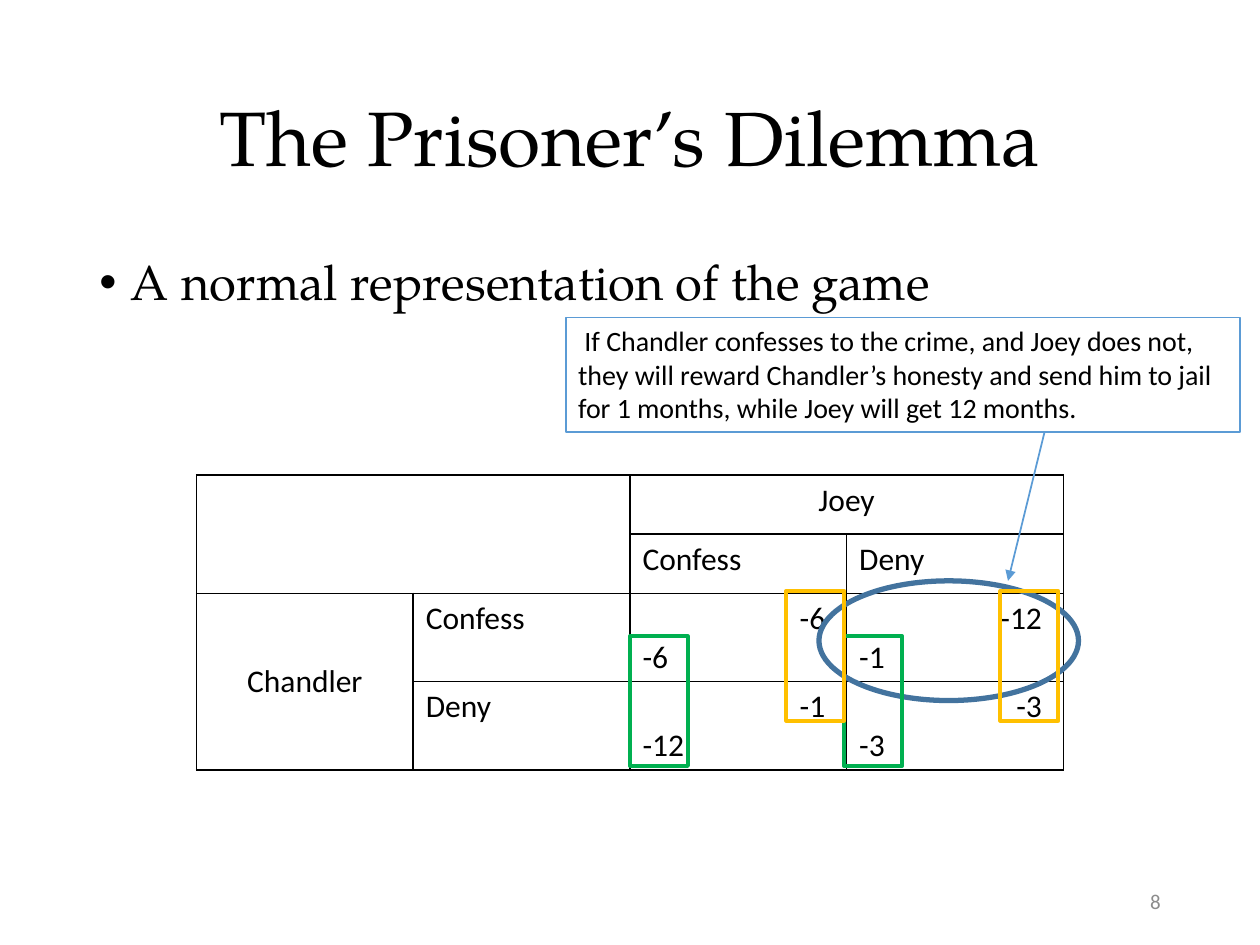
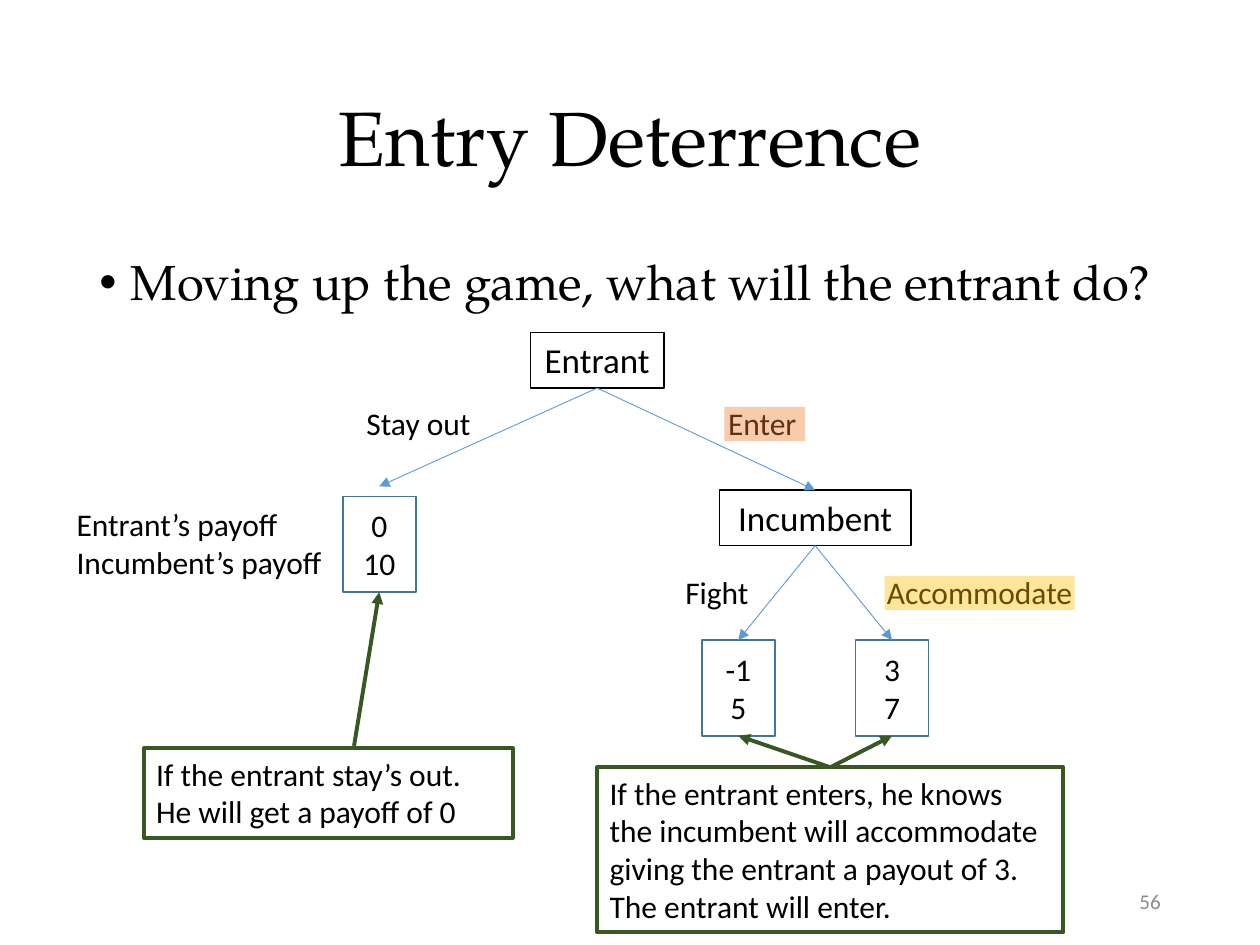
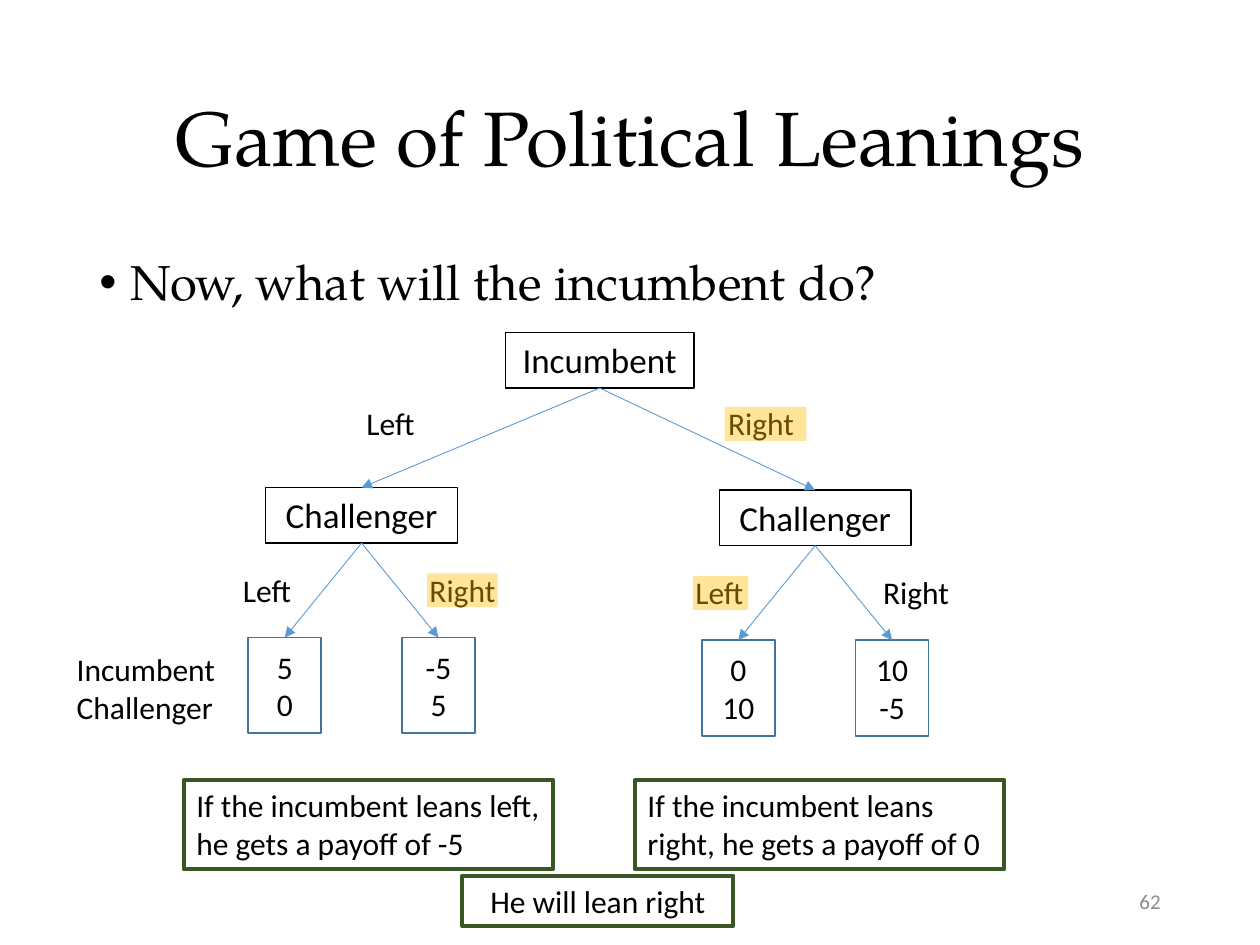
from lxml import etree
from pptx import Presentation
from pptx.dml.color import RGBColor
from pptx.enum.shapes import MSO_CONNECTOR, MSO_SHAPE
from pptx.enum.text import MSO_ANCHOR as Anchor, PP_ALIGN as Align
from pptx.oxml.ns import qn
from pptx.shapes.autoshape import Shape
from pptx.util import Inches, Pt

BLACK = RGBColor(0x00, 0x00, 0x00)
GREY = RGBColor(0x8C, 0x8C, 0x8C)
BLUE = RGBColor(0x5B, 0x9B, 0xD5)
DARK_BLUE = RGBColor(0x43, 0x73, 0x9E)
GREEN = RGBColor(0x00, 0xB0, 0x50)
DARK_GREEN = RGBColor(0x38, 0x57, 0x23)
GOLD = RGBColor(0xFF, 0xC0, 0x00)
ORANGE = RGBColor(0xED, 0x7D, 0x31)
SERIF, SANS = "TeX Gyre Pagella", "Calibri"
RECT, OVAL = MSO_SHAPE.RECTANGLE, MSO_SHAPE.OVAL
LEFT, CENTER, RIGHT = Align.LEFT, Align.CENTER, Align.RIGHT
TOP, BOTTOM = 0, 2

MARGIN, CONTENT_W = 0.69, 8.62
NODE_H, NODE_W = 0.44, 1.52
PAYOFF_W, PAYOFF_H = 0.58, 0.76
ROOT_TOP = 2.64
NOTE_W, NOTE_H = 2.93, 0.71
LABEL_H = 0.4


def add_box(slide, kind, left, top, width, height, lines=(), size=18, align=LEFT,
            anchor=Anchor.TOP, line=None, weight=1, tint=None, color=BLACK, font=SANS):
    """Add a shape, or a text box when kind is None; tint is a 40 % opaque fill."""
    place = [Inches(v) for v in (left, top, width, height)]
    box = slide.shapes.add_shape(kind, *place) if kind else slide.shapes.add_textbox(*place)
    box.shadow.inherit = False
    if tint:
        box.fill.solid()
        box.fill.fore_color.rgb = tint
        tint_xml = box._element.spPr.find(".//" + qn("a:srgbClr"))
        etree.SubElement(tint_xml, qn("a:alpha"), val="40000")
    else:
        box.fill.background()
    if line:
        box.line.color.rgb = line
        box.line.width = Pt(weight)
    else:
        box.line.fill.background()
    frame = box.text_frame
    frame.word_wrap = True
    frame.vertical_anchor = anchor
    for i, text in enumerate(lines):
        paragraph = frame.add_paragraph() if i else frame.paragraphs[0]
        paragraph.alignment = align
        run = paragraph.add_run()
        run.text = text
        run.font.size, run.font.name = Pt(size), font
        run.font.color.rgb = color
    return box


def add_arrow(slide, start, end, color=BLUE, weight=0.5):
    """Draw an arrow; each end is an (x, y) point or a (shape, side) pair."""
    arrow = slide.shapes.add_connector(MSO_CONNECTOR.STRAIGHT, 0, 0, 0, 0)
    if isinstance(start[0], Shape):
        arrow.begin_connect(*start)
    else:
        arrow.begin_x, arrow.begin_y = Inches(start[0]), Inches(start[1])
    if isinstance(end[0], Shape):
        arrow.end_connect(*end)
    else:
        arrow.end_x, arrow.end_y = Inches(end[0]), Inches(end[1])
    arrow.line.color.rgb = color
    arrow.line.width = Pt(weight)
    properties = arrow._element.spPr
    etree.SubElement(properties.find(qn("a:ln")), qn("a:tailEnd"), type="triangle")
    etree.SubElement(properties, qn("a:effectLst"))


prs = Presentation()
prs.slide_width, prs.slide_height = Inches(10), Inches(7.5)

# Title, bullet and slide number of every slide
slides = []
for heading, bullet, number in [
    ("The Prisoner’s Dilemma", "A normal representation of the game", "8"),
    ("Entry Deterrence", "Moving up the game, what will the entrant do?", "56"),
    ("Game of Political Leanings", "Now, what will the incumbent do?", "62"),
]:
    slide = prs.slides.add_slide(prs.slide_layouts[5])
    slides.append(slide)
    title = slide.shapes.title
    title.left, title.top = Inches(MARGIN), Inches(0.4)
    title.width, title.height = Inches(CONTENT_W), Inches(1.45)
    title.text_frame.vertical_anchor = Anchor.MIDDLE
    paragraph = title.text_frame.paragraphs[0]
    paragraph.alignment, paragraph.line_spacing = CENTER, 0.9
    run = paragraph.add_run()
    run.text = heading
    run.font.size, run.font.name = Pt(44), SERIF
    run.font.color.rgb = BLACK

    body = add_box(slide, None, MARGIN, 2, CONTENT_W, 4.76, [bullet], 28, font=SERIF)
    paragraph = body.text_frame.paragraphs[0]
    paragraph.line_spacing = 0.9
    properties = paragraph._p.get_or_add_pPr()
    properties.set("marL", str(Inches(0.25)))
    properties.set("indent", str(-Inches(0.25)))
    etree.SubElement(properties, qn("a:buFont"), typeface="Arial")
    etree.SubElement(properties, qn("a:buChar"), char="•")
    add_box(slide, None, 7.06, 6.95, 2.25, LABEL_H, [number], 12, RIGHT,
            Anchor.MIDDLE, color=GREY)

dilemma, entry, politics = slides

# Payoff matrix
TABLE_LEFT, TABLE_TOP, COLUMN_W = 1.56, 3.77, 1.72
ROW_HEIGHTS = [0.47, 0.47, 0.7, 0.7]
matrix = dilemma.shapes.add_table(4, 4, Inches(TABLE_LEFT), Inches(TABLE_TOP),
                                  Inches(4 * COLUMN_W), Inches(sum(ROW_HEIGHTS))).table
matrix.first_row = matrix.horz_banding = False
for column in matrix.columns:
    column.width = Inches(COLUMN_W)
for row, height in zip(matrix.rows, ROW_HEIGHTS):
    row.height = Inches(height)
for cell in matrix.iter_cells():
    properties = cell._tc.get_or_add_tcPr()
    for side in ("a:lnL", "a:lnR", "a:lnT", "a:lnB"):
        border = etree.SubElement(properties, qn(side), w=str(Pt(1)))
        fill = etree.SubElement(border, qn("a:solidFill"))
        etree.SubElement(fill, qn("a:srgbClr"), val=str(BLACK))
    cell.fill.background()
for first, last in [((0, 0), (1, 1)), ((0, 2), (0, 3)), ((2, 0), (3, 0))]:
    matrix.cell(*first).merge(matrix.cell(*last))
matrix.cell(2, 0).vertical_anchor = Anchor.MIDDLE

entries = {
    (0, 2): [("Joey", CENTER)],
    (1, 2): [("Confess", LEFT)],
    (1, 3): [("Deny", LEFT)],
    (2, 0): [("Chandler", CENTER)],
    (2, 1): [("Confess", LEFT)],
    (2, 2): [("-6", RIGHT), ("-6", LEFT)],
    (2, 3): [("-12", RIGHT), ("-1", LEFT)],
    (3, 1): [("Deny", LEFT)],
    (3, 2): [("-1", RIGHT), ("-12", LEFT)],
    (3, 3): [("-3", RIGHT), ("-3", LEFT)],
}
for position, lines in entries.items():
    cell = matrix.cell(*position)
    if len(lines) == 2:
        cell.margin_right = Inches(0.17)
    for i, (text, align) in enumerate(lines):
        paragraph = cell.text_frame.add_paragraph() if i else cell.text_frame.paragraphs[0]
        paragraph.alignment = align
        run = paragraph.add_run()
        run.text = text
        run.font.size, run.font.name = Pt(18), SANS
        run.font.color.rgb = BLACK

add_box(dilemma, RECT, 4.49, 2.52, 5.35, 0.91, [
    " If Chandler confesses to the crime, and Joey does not, they will reward "
    "Chandler’s honesty and send him to jail for 1 months, while Joey will get 12 months."
], 16, line=BLUE)
add_box(dilemma, OVAL, 6.5, 4.61, 2.06, 0.95, line=DARK_BLUE, weight=3)
add_arrow(dilemma, (8.29, 3.43), (8, 4.61), weight=1)
for left, top, color in [(5, 5.05, GREEN), (6.24, 4.69, GOLD)]:
    for shift in (0, 1.7):
        add_box(dilemma, RECT, left + shift, top, 0.46, 1.03, line=color, weight=2.25)

# First moves: label, then width and colour of its highlight
roots = {}
for slide, player, center, width, moves in [
    (entry, "Entrant", 4.74, 1.06, [("Stay out", 0, None), ("Enter", 0.64, ORANGE)]),
    (politics, "Incumbent", 4.76, 1.5, [("Left", 0, None), ("Right", 0.65, GOLD)]),
]:
    roots[slide.slide_id] = add_box(slide, RECT, center - width / 2, ROOT_TOP, width, NODE_H,
                                    [player], 20, CENTER, line=BLACK, weight=0.75)
    for (label, mark_w, mark), left in zip(moves, (2.81, 5.68)):
        add_box(slide, None, left, 3.16, 1.16, LABEL_H, [label])
        if mark:
            add_box(slide, RECT, left + 0.07, 3.23, mark_w, 0.27, tint=mark)

# Second moves: label, offset from the node's centre, highlight width, payoffs
payoffs = []
for slide, player, center, top, moves in [
    (entry, "Incumbent", 6.47, 3.89, [("Fight", -1.13, 0, ["-1", "5"]),
                                      ("Accommodate", 0.47, 1.51, ["3", "7"])]),
    (politics, "Challenger", 2.87, 3.87, [("Left", -1.04, 0, ["5", "0"]),
                                          ("Right", 0.44, 0.56, ["-5", "5"])]),
    (politics, "Challenger", 6.47, 3.89, [("Left", -1.05, 0.44, ["0", "10"]),
                                          ("Right", 0.44, 0, ["10", "-5"])]),
]:
    node = add_box(slide, RECT, center - NODE_W / 2, top, NODE_W, NODE_H,
                   [player], 20, CENTER, line=BLACK, weight=0.75)
    add_arrow(slide, (roots[slide.slide_id], BOTTOM), (node, TOP))
    for (label, offset, mark_w, values), direction in zip(moves, (-1, 1)):
        payoff = add_box(slide, RECT, center + direction * 0.61 - PAYOFF_W / 2, top + 1.19,
                         PAYOFF_W, PAYOFF_H, values, 18, CENTER, Anchor.MIDDLE, DARK_BLUE)
        payoffs.append(payoff)
        add_arrow(slide, (node, BOTTOM), (payoff, TOP))
        add_box(slide, None, center + offset, top + 0.61, 1.78, LABEL_H, [label])
        if mark_w:
            add_box(slide, RECT, center + offset + 0.08, top + 0.68, mark_w, 0.27, tint=GOLD)
fight_payoff, accommodate_payoff = payoffs[:2]

# Payoff of staying out, and the names of the payoff rows
stay_out = add_box(entry, RECT, 2.72, 3.94, PAYOFF_W, PAYOFF_H, ["0", "10"], 18, CENTER,
                   Anchor.MIDDLE, DARK_BLUE)
add_arrow(entry, (roots[entry.slide_id], BOTTOM), (3.01, 3.86))
add_box(entry, None, 0.51, 3.96, 2.2, NOTE_H, ["Entrant’s payoff", "Incumbent’s payoff"])
add_box(politics, None, 0.51, 5.11, 1.31, NOTE_H, ["Incumbent", "Challenger"])

# Conclusions
notes = []
for slide, left, top, width, height, align, text in [
    (entry, 1.14, 5.94, NOTE_W, NOTE_H, LEFT,
     "If the entrant stay’s out. He will get a payoff of 0"),
    (entry, 4.74, 6.09, 3.7, 1.31, LEFT,
     "If the entrant enters, he knows the incumbent will accommodate giving the entrant "
     "a payout of 3. The entrant will enter."),
    (politics, 1.46, 6.19, NOTE_W, NOTE_H, LEFT,
     "If the incumbent leans left, he gets a payoff of -5"),
    (politics, 5.04, 6.19, NOTE_W, NOTE_H, LEFT,
     "If the incumbent leans right, he gets a payoff of 0"),
    (politics, 3.67, 6.95, 2.15, LABEL_H, CENTER, "He will lean right"),
]:
    notes.append(add_box(slide, RECT, left, top, width, height, [text], 18, align,
                         line=DARK_GREEN, weight=2.25))
add_arrow(entry, (2.81, 5.92), (stay_out, BOTTOM), DARK_GREEN, 2.25)
for payoff in (accommodate_payoff, fight_payoff):
    add_arrow(entry, (notes[1], TOP), (payoff, BOTTOM), DARK_GREEN, 2.25)

prs.save("out.pptx")
